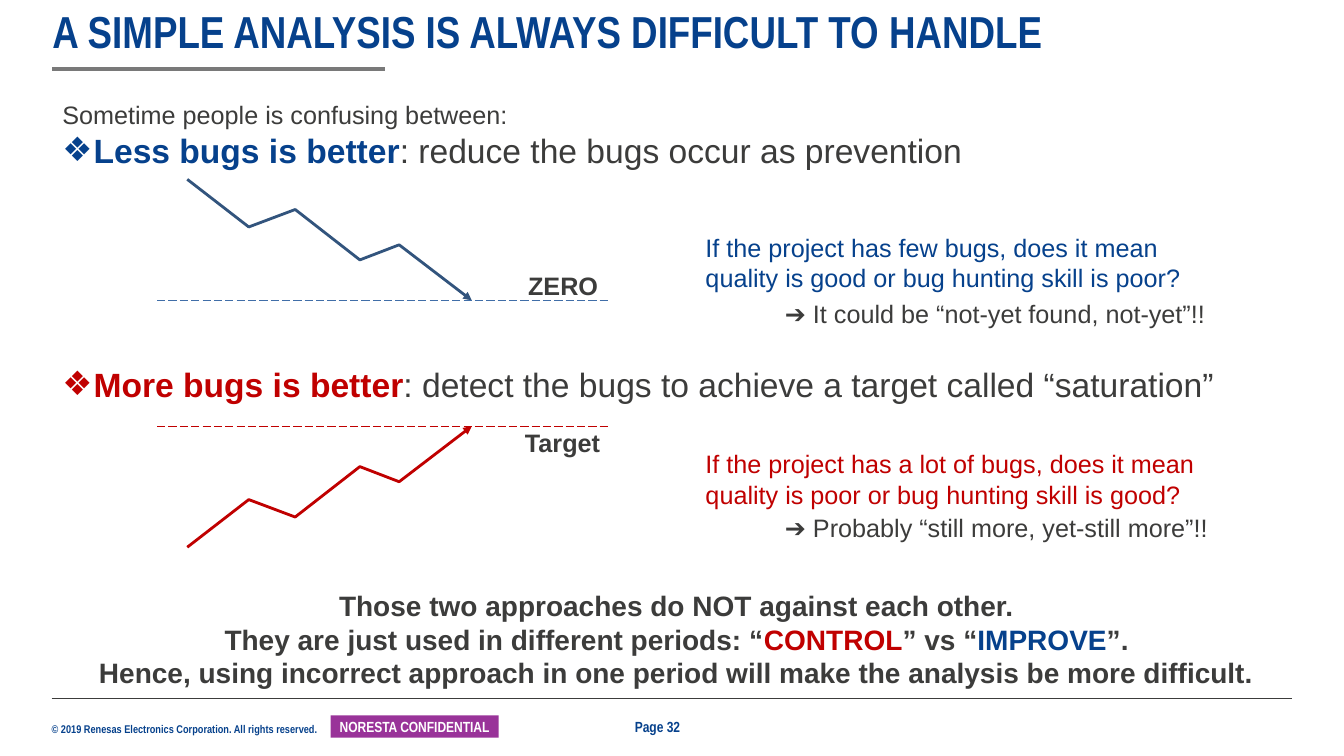
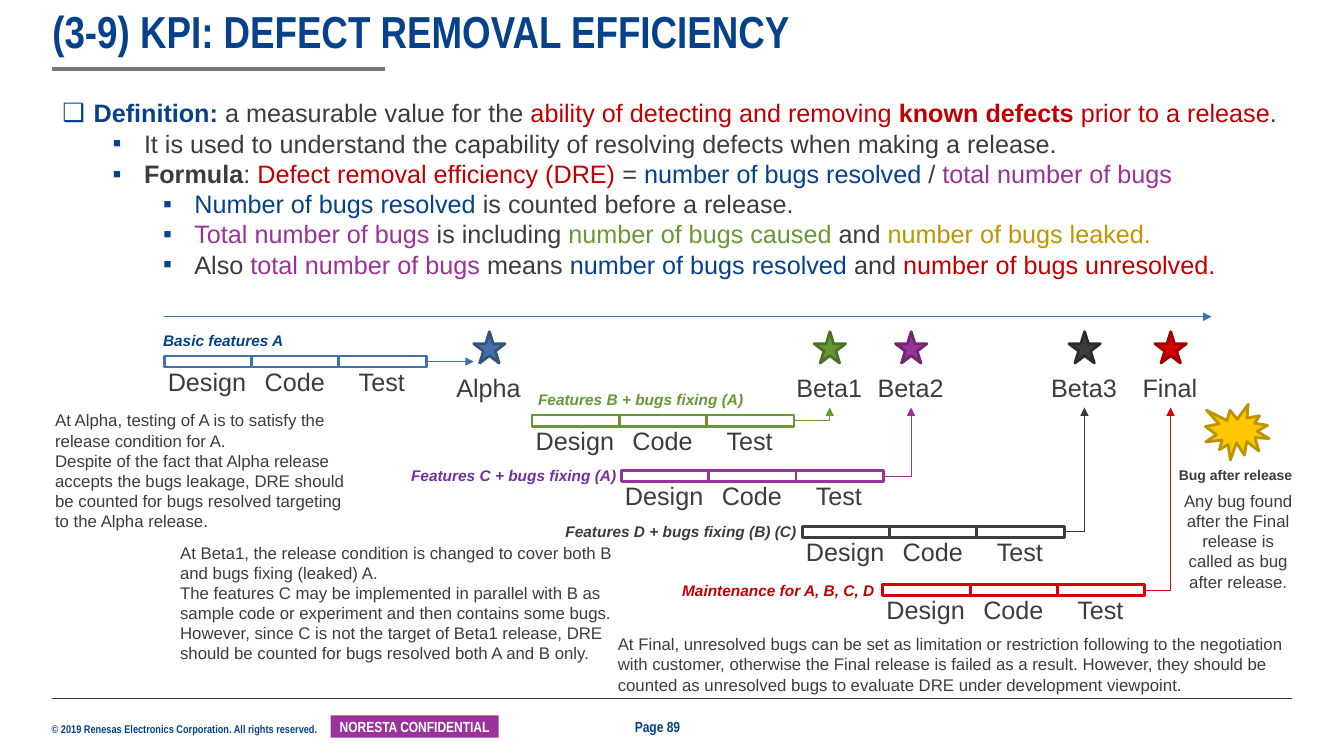
from dataclasses import dataclass
from typing import NamedTuple

from lxml.etree import SubElement
from pptx import Presentation
from pptx.dml.color import RGBColor
from pptx.enum.dml import MSO_LINE
from pptx.enum.shapes import MSO_CONNECTOR, MSO_SHAPE
from pptx.enum.text import MSO_ANCHOR, MSO_AUTO_SIZE, PP_ALIGN
from pptx.oxml.ns import qn
from pptx.util import Cm, Pt

HUES = {
    "ink": "3C3C3B", "navy": "06418C", "red": "C00000", "plum": "993399",
    "green": "669933", "gold": "BF9600", "gray": "797979", "white": "FFFFFF",
    "blue": "4471A9", "wire": "406EA8", "deep": "32547D", "grape": "7030A0",
    "moss": "4B7126", "wine": "712671", "coal": "2C2C2C", "fire": "D70000",
    "rust": "9F0000", "sun": "FFC800", "amber": "BD9400",
}
NARROW = "Arial Narrow"


class Run(NamedTuple):
    text: str
    hue: str = "ink"
    bold: bool = False
    slant: bool = False


@dataclass
class Para:
    runs: list[Run]
    size: float = 18
    mark: str = ""
    tint: str = ""
    level: int = 0
    gap: float = 0
    align: PP_ALIGN = PP_ALIGN.LEFT


class Box(NamedTuple):
    left: float
    top: float
    wide: float
    high: float


class Stage(NamedTuple):
    left: float
    top: float
    hue: str
    edge: str
    tag: Run
    spot: Box
    goal: str
    mid: float
    wide: float


def tone(name: str) -> RGBColor:
    return RGBColor.from_string(HUES[name])


def write(frame, paras: list[Para], font: str = "Arial", pitch: float = 1) -> None:
    for n, item in enumerate(paras):
        para = frame.paragraphs[0] if n == 0 else frame.add_paragraph()
        para.alignment = item.align
        para.level = item.level
        if item.gap:
            para.space_before = Pt(item.gap)
        if pitch != 1:
            para.line_spacing = pitch
        if item.mark:
            props = para._p.get_or_add_pPr()
            props.set("marL", str(Cm(0.79 + 1.27 * item.level)))
            props.set("indent", str(Cm(-0.79)))
            if item.tint:
                SubElement(SubElement(props, qn("a:buClr")), qn("a:srgbClr"), val=HUES[item.tint])
            SubElement(props, qn("a:buFont"), typeface="Arial")
            SubElement(props, qn("a:buChar"), char=item.mark)
        for part in item.runs:
            run = para.add_run()
            run.text = part.text
            run.font.name = font
            run.font.size = Pt(item.size)
            run.font.bold = part.bold
            run.font.italic = part.slant
            run.font.color.rgb = tone(part.hue)


def pad(frame, side: float = 0) -> None:
    frame.margin_left = frame.margin_right = Cm(side)
    frame.margin_top = frame.margin_bottom = Cm(0)


def label(slide, box: Box, paras: list[Para], wrap: bool = False, font: str = "Arial",
          tight: bool = False, anchor: MSO_ANCHOR = MSO_ANCHOR.TOP, pitch: float = 1):
    shape = slide.shapes.add_textbox(*map(Cm, box))
    frame = shape.text_frame
    frame.word_wrap = wrap
    frame.auto_size = MSO_AUTO_SIZE.SHAPE_TO_FIT_TEXT
    frame.vertical_anchor = anchor
    if tight:
        pad(frame)
    write(frame, paras, font, pitch)
    return shape


def block(slide, kind: MSO_SHAPE, box: Box, fill: str, edge: str = ""):
    shape = slide.shapes.add_shape(kind, *map(Cm, box))
    shape.shadow.inherit = False
    shape.fill.solid()
    shape.fill.fore_color.rgb = tone(fill)
    if edge:
        shape.line.color.rgb = tone(edge)
        shape.line.width = Pt(2)
    else:
        shape.line.fill.background()
    return shape


def arrow(shape) -> None:
    SubElement(shape.element.spPr.find(qn("a:ln")), qn("a:tailEnd"), type="triangle")


def link(slide, start: tuple[float, float], end: tuple[float, float], hue: str,
         width: float = 0.75, dash: bool = False, tip: bool = False,
         kind: MSO_CONNECTOR = MSO_CONNECTOR.STRAIGHT):
    line = slide.shapes.add_connector(kind, *map(Cm, start + end))
    line.line.color.rgb = tone(hue)
    line.line.width = Pt(width)
    if dash:
        line.line.dash_style = MSO_LINE.LONG_DASH
    if tip:
        arrow(line)
    SubElement(line.element.spPr, qn("a:effectLst"))
    return line


def trend(slide, points: list[tuple[float, float]], hue: str) -> None:
    first, *rest = [(Cm(x), Cm(y)) for x, y in points]
    form = slide.shapes.build_freeform(*first)
    form.add_line_segments(rest, close=False)
    shape = form.convert_to_shape()
    shape.shadow.inherit = False
    shape.fill.background()
    shape.line.color.rgb = tone(hue)
    shape.line.width = Pt(2)
    arrow(shape)


def start(deck, title: str, page: int):
    slide = deck.slides.add_slide(deck.slide_layouts[6])
    label(slide, Box(1.3, 18.19, 6.81, 0.33),
          [Para([Run("© 2019 Renesas Electronics Corporation. All rights reserved.", "navy", True)], 8)],
          font=NARROW, tight=True)
    link(slide, (1.3, 17.6), (32.56, 17.6), "ink", 0.5)
    badge = block(slide, MSO_SHAPE.RECTANGLE, Box(8.33, 18.03, 4.24, 0.56), "plum")
    pad(badge.text_frame, 0.1)
    badge.text_frame.vertical_anchor = MSO_ANCHOR.MIDDLE
    write(badge.text_frame,
          [Para([Run("NORESTA CONFIDENTIAL", "white", True)], 10.5, align=PP_ALIGN.CENTER)], NARROW)
    link(slide, (1.32, 1.73), (9.7, 1.73), "gray", 3)
    label(slide, Box(1.32, 0.25, 31.39, 1.22), [Para([Run(title, "navy", True)], 32)],
          True, NARROW, True, MSO_ANCHOR.BOTTOM, 0.9)
    label(slide, Box(16, 18.08, 1.85, 0.46), [Para([Run(f"Page {page}", "navy", True)], 10.5)],
          True, NARROW, True, MSO_ANCHOR.MIDDLE)
    return slide


def trends(deck) -> None:
    slide = start(deck, "A SIMPLE ANALYSIS IS ALWAYS DIFFICULT TO HANDLE", 32)
    label(slide, Box(1.32, 2.39, 29.82, 8.2), [
        Para([Run("Sometime people is confusing between:")]),
        Para([Run("Less bugs is better", "navy", True),
              Run(": reduce the bugs occur as prevention")], 24, "❖"),
        Para([Run("More bugs is better", "red", True),
              Run(": detect the bugs to achieve a target called “saturation”")], 24, "❖", gap=138),
    ])
    fall = [(4.72, 4.52), (6.27, 5.72), (7.44, 5.28), (9.07, 6.55), (10.06, 6.17), (11.89, 7.57)]
    rise = [(x, 18.31 - y) for x, y in fall]
    for points, hue, dash in ((fall, "deep", "wire"), (rise, "red", "red")):
        trend(slide, points, hue)
        level = points[-1][1]
        link(slide, (3.96, level), (15.34, level), dash, dash=True)
    for text, box in (("ZERO", Box(13.06, 6.68, 2.29, 1.02)),
                      ("Target", Box(12.98, 10.64, 2.41, 1.02))):
        label(slide, box, [Para([Run(text, bold=True)])])
    for text, hue, top in (
        ("If the project has few bugs, does it mean quality is good or bug hunting skill is poor?", "navy", 5.72),
        ("If the project has a lot of bugs, does it mean quality is poor or bug hunting skill is good?", "red", 11.18),
    ):
        label(slide, Box(17.53, top, 13, 1.8), [Para([Run(text, hue)])], True)
    for text, top, wide in (("➔ It could be “not-yet found, not-yet”!!", 7.39, 11.35),
                            ("➔ Probably “still more, yet-still more”!!", 12.78, 11.43)):
        label(slide, Box(19.53, top, wide, 1.02), [Para([Run(text)])])
    lines = [
        [Run("Those two approaches do NOT against each other.", bold=True)],
        [Run("They are just used in different periods: “", bold=True), Run("CONTROL", "red", True),
         Run("” vs “", bold=True), Run("IMPROVE", "navy", True), Run("”.", bold=True)],
        [Run("Hence, using incorrect approach in one period will make the analysis be more difficult.",
             bold=True)],
    ]
    label(slide, Box(2.24, 14.71, 29.62, 2.82),
          [Para(runs, 20, align=PP_ALIGN.CENTER) for runs in lines])


def track(slide, stage: Stage) -> None:
    star = Box(stage.mid - 0.39, 8.36, 0.79, 0.79)
    block(slide, MSO_SHAPE.STAR_5_POINT, star, stage.hue, stage.edge)
    goal = label(slide, Box(stage.mid - stage.wide / 2, 9.25, stage.wide, 1.02),
                 [Para([Run(stage.goal)])])
    for n, (step, shift, wide) in enumerate(
            (("Design", -0.16, 2.51), ("Code", 2.28, 2.06), ("Test", 4.65, 1.68))):
        bar = block(slide, MSO_SHAPE.RECTANGLE,
                    Box(stage.left + 2.2 * n, stage.top, 2.2, 0.28), "white", stage.hue)
        label(slide, Box(stage.left + shift, stage.top + 0.13, wide, 1.02), [Para([Run(step)])])
    tail = (stage.left + 6.6, stage.top + 0.14)
    if stage.goal == "Alpha":
        line = link(slide, tail, (star.left, tail[1]), "wire", tip=True)
    else:
        line = link(slide, tail, (stage.mid, 10.27), stage.hue, tip=True, kind=MSO_CONNECTOR.ELBOW)
        line.element.spPr.find(qn("a:prstGeom")).set("prst", "bentConnector2")
        line.end_connect(goal, 2)
    line.begin_connect(bar, 3)
    label(slide, stage.spot, [Para([stage.tag], 11)])


def removal(deck) -> None:
    slide = start(deck, "(3-9) KPI: DEFECT REMOVAL EFFICIENCY", 89)
    points = [
        (0, [Run("Definition: ", "navy", True), Run("a measurable value for the "),
             Run("ability of detecting and removing ", "red"), Run("known defects ", "red", True),
             Run("prior to a release", "red"), Run(".")]),
        (1, [Run("It is used to understand the capability of resolving defects when making a release.")]),
        (1, [Run("Formula", bold=True), Run(": "), Run("Defect removal efficiency (DRE)", "red"),
             Run(" = "), Run("number of bugs resolved", "navy"), Run(" / "),
             Run("total number of bugs", "plum")]),
        (2, [Run("Number of bugs resolved", "navy"), Run(" is counted before a release.")]),
        (2, [Run("Total number of bugs", "plum"), Run(" is including "),
             Run("number of bugs caused", "green"), Run(" and "),
             Run("number of bugs leaked.", "gold")]),
        (2, [Run("Also"), Run(" total number of bugs", "plum"), Run(" means "),
             Run("number of bugs resolved", "navy"), Run(" and "),
             Run("number of bugs unresolved.", "red")]),
    ]
    label(slide, Box(1.32, 2.34, 31.39, 5.64),
          [Para(runs, mark="▪" if level else "❑", tint="navy", level=level, align=PP_ALIGN.JUSTIFY)
           for level, runs in points], True)
    link(slide, (4.14, 7.98), (30.53, 7.98), "wire", tip=True)
    for stage in (
        Stage(4.14, 8.97, "blue", "deep", Run("Basic features A", "navy", True, True),
              Box(3.86, 8.23, 3.58, 0.74), "Alpha", 12.33, 2.16),
        Stage(13.41, 10.46, "green", "moss", Run("Features B + bugs fixing (A)", "green", True, True),
              Box(13.31, 9.7, 5.72, 0.74), "Beta1", 20.91, 2.18),
        Stage(15.66, 11.86, "plum", "wine", Run("Features C + bugs fixing (A)", "grape", True, True),
              Box(10.11, 11.63, 5.72, 0.74), "Beta2", 22.96, 2.18),
        Stage(20.22, 13.26, "ink", "coal", Run("Features D + bugs fixing (B) (C)", "ink", True, True),
              Box(14, 13.03, 6.38, 0.74), "Beta3", 27.33, 2.18),
        Stage(22.25, 14.73, "fire", "rust", Run("Maintenance for A, B, C, D", "red", True, True),
              Box(16.94, 14.53, 5.41, 0.74), "Final", 29.5, 1.91),
    ):
        track(slide, stage)
    for box, texts, align in (
        (Box(1.14, 10.21, 7.85, 3.33), [
            "At Alpha, testing of A is to satisfy the release condition for A.",
            "Despite of the fact that Alpha release accepts the bugs leakage, DRE should be counted "
            "for bugs resolved targeting to the Alpha release."], PP_ALIGN.LEFT),
        (Box(4.29, 13.54, 11.53, 3.33), [
            "At Beta1, the release condition is changed to cover both B and bugs fixing (leaked) A.",
            "The features C may be implemented in parallel with B as sample code or experiment and "
            "then contains some bugs. However, since C is not the target of Beta1 release, DRE "
            "should be counted for bugs resolved both A and B only."], PP_ALIGN.LEFT),
        (Box(29.54, 12.24, 3.33, 2.82), [
            "Any bug found after the Final release is called as bug after release."], PP_ALIGN.CENTER),
        (Box(15.32, 15.85, 17.55, 1.8), [
            "At Final, unresolved bugs can be set as limitation or restriction following to the "
            "negotiation with customer, otherwise the Final release is failed as a result. However, "
            "they should be counted as unresolved bugs to evaluate DRE under development viewpoint."],
         PP_ALIGN.LEFT),
    ):
        label(slide, box, [Para([Run(text)], 12, align=align) for text in texts], True)
    block(slide, MSO_SHAPE.EXPLOSION1, Box(30.38, 10.19, 1.6, 1.4), "sun", "amber")
    label(slide, Box(29.46, 11.63, 3.38, 0.69), [Para([Run("Bug after release", bold=True)], 10)])


def main() -> None:
    deck = Presentation()
    deck.slide_width, deck.slide_height = Cm(33.87), Cm(19.05)
    trends(deck)
    removal(deck)
    deck.save("out.pptx")


if __name__ == "__main__":
    main()
